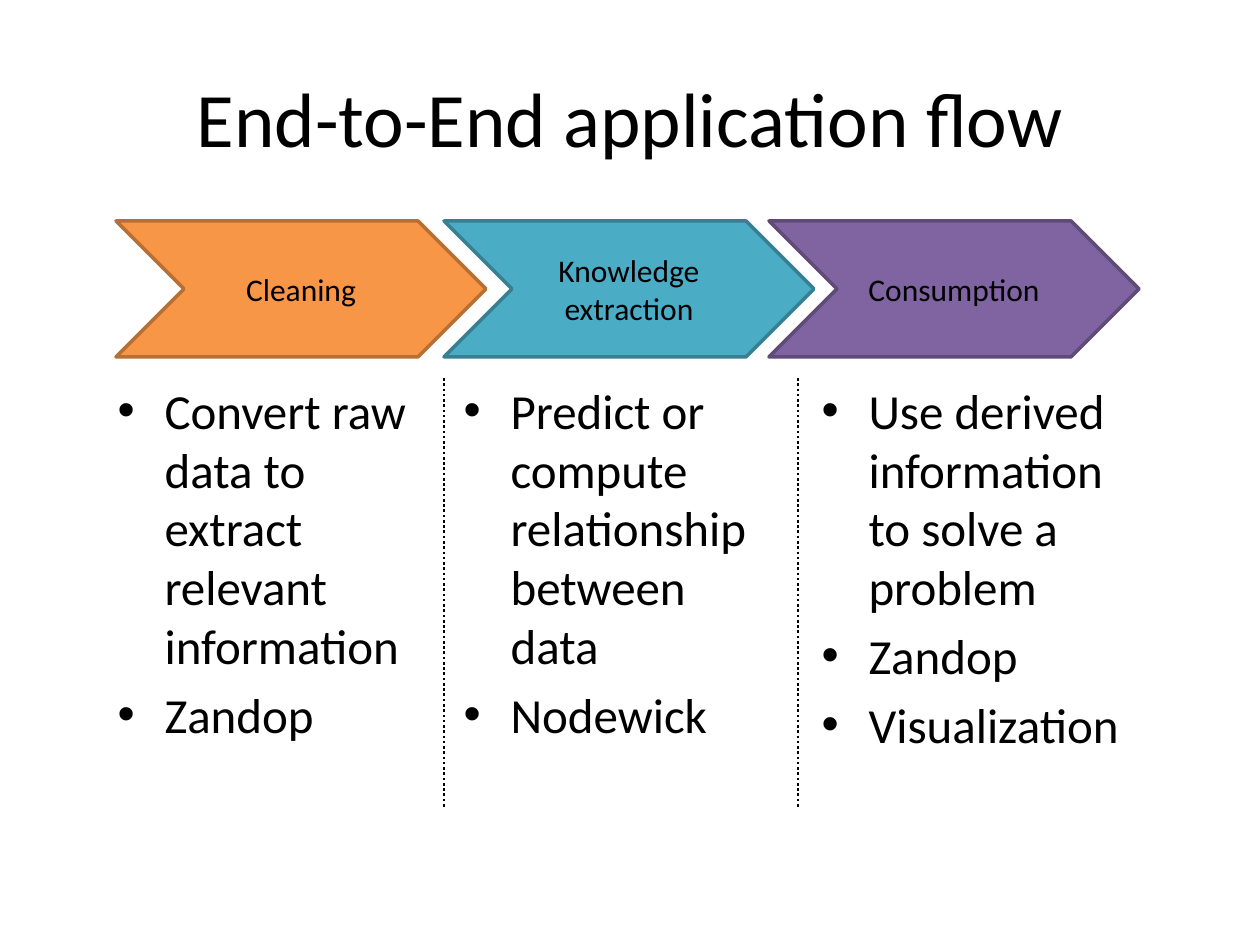
from lxml import etree
from pptx import Presentation
from pptx.dml.color import RGBColor
from pptx.enum.dml import MSO_LINE
from pptx.enum.shapes import MSO_CONNECTOR, MSO_SHAPE
from pptx.enum.text import MSO_ANCHOR, MSO_AUTO_SIZE, PP_ALIGN
from pptx.oxml.ns import qn
from pptx.util import Pt

CHEVRON = MSO_SHAPE.CHEVRON
STRAIGHT = MSO_CONNECTOR.STRAIGHT
DOTTED = MSO_LINE.ROUND_DOT
TOP, MIDDLE = MSO_ANCHOR.TOP, MSO_ANCHOR.MIDDLE
LEFT, CENTER = PP_ALIGN.LEFT, PP_ALIGN.CENTER
NO_FIT = MSO_AUTO_SIZE.NONE

COLORS = {
    "text": "000000",
    "cleaning": "F79646", "cleaning edge": "B76F34",
    "extraction": "4BACC6", "extraction edge": "377F92",
    "consumption": "8064A2", "consumption edge": "5F4A78",
}
STAGES = [
    ("cleaning", "Cleaning", 116, 105, 325, 2,
     ["Convert raw data to extract relevant information", "Zandop"]),
    ("extraction", "Knowledge extraction", 444, 451, 336, 4,
     ["Predict or compute relationship between data", "Nodewick"]),
    ("consumption", "Consumption", 769, 809, 325, 1,
     ["Use derived information to solve a problem", "Zandop", "Visualization"]),
]
DIVIDERS = [444, 798]


def px(*lengths):
    return [round(length * 914400 / 126) for length in lengths]


def format_text(frame, size, align, anchor):
    frame.word_wrap = True
    frame.auto_size = NO_FIT
    frame.vertical_anchor = anchor
    for paragraph in frame.paragraphs:
        paragraph.alignment = align
        for run in paragraph.runs:
            run.font.name = "Calibri"
            run.font.size = Pt(size)
            run.font.bold = False
            run.font.color.rgb = RGBColor.from_string(COLORS["text"])


prs = Presentation()
prs.slide_width, prs.slide_height = px(1260, 945)
slide = prs.slides.add_slide(prs.slide_layouts[4])
placeholders = {p.placeholder_format.idx: p for p in slide.placeholders}

title = slide.shapes.title
title.left, title.top, title.width, title.height = px(63, 38, 1134, 158)
title.text_frame.text = "End-to-End application flow"
format_text(title.text_frame, 44, CENTER, MIDDLE)

for key, label, stage_x, list_x, list_width, idx, points in STAGES:
    stage = slide.shapes.add_shape(CHEVRON, *px(stage_x, 221, 370, 136))
    stage.shadow.inherit = False
    stage.fill.solid()
    stage.fill.fore_color.rgb = RGBColor.from_string(COLORS[key])
    stage.line.color.rgb = RGBColor.from_string(COLORS[key + " edge"])
    stage.line.width = Pt(2)
    stage.text_frame.text = label
    format_text(stage.text_frame, 18, CENTER, MIDDLE)

    details = placeholders.pop(idx)
    details.left, details.top, details.width, details.height = px(list_x, 374, list_width, 466)
    details.text_frame.text = "\n".join(points)
    format_text(details.text_frame, 28, LEFT, TOP)
    indent, = px(47)
    for paragraph in details.text_frame.paragraphs:
        properties = paragraph._p.get_or_add_pPr()
        properties.set("marL", str(indent))
        properties.set("indent", str(-indent))
        etree.SubElement(properties, qn("a:buFont")).set("typeface", "Arial")
        etree.SubElement(properties, qn("a:buChar")).set("char", "•")

for x in DIVIDERS:
    divider = slide.shapes.add_connector(STRAIGHT, *px(x, 378, x, 809))
    divider.line.color.rgb = RGBColor.from_string(COLORS["text"])
    divider.line.width = Pt(1.5)
    divider.line.dash_style = DOTTED
    etree.SubElement(divider._element.spPr, qn("a:effectLst"))

unused = placeholders[3]._element
unused.getparent().remove(unused)

prs.save("out.pptx")
